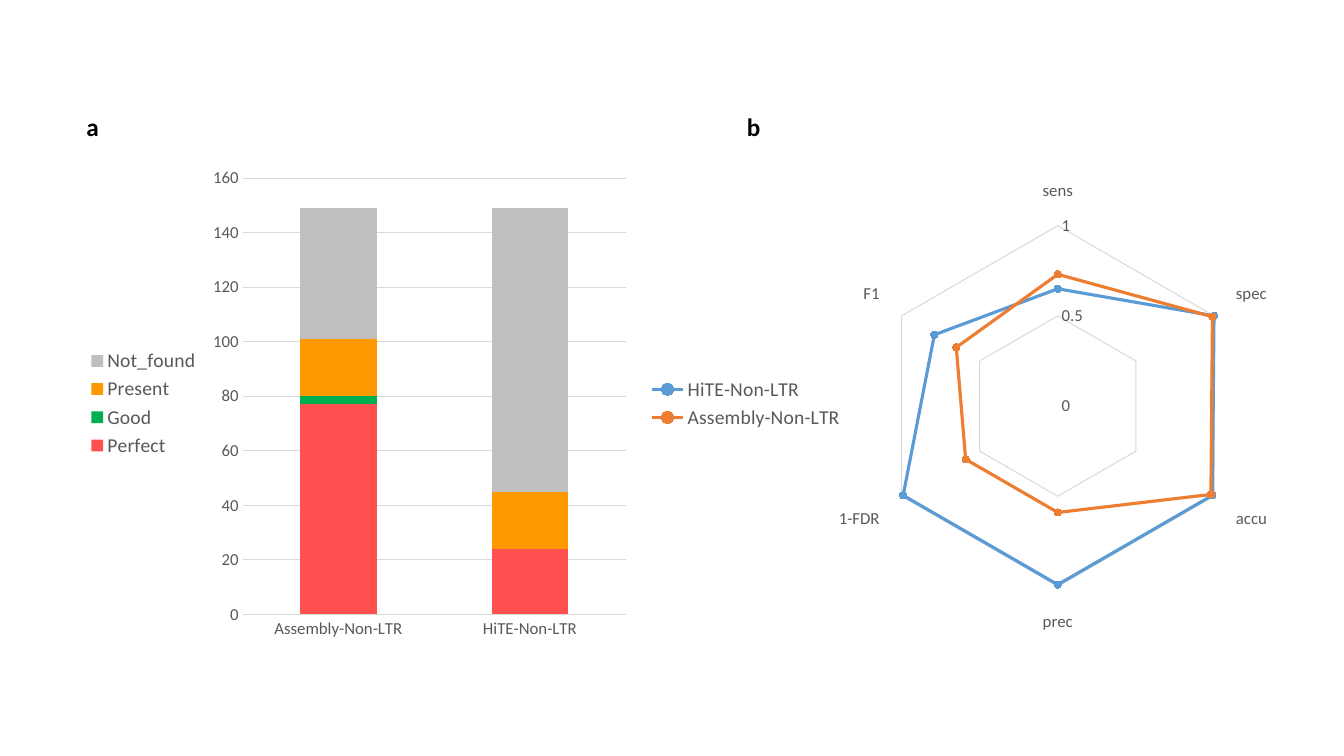
from dataclasses import dataclass
from typing import Optional

import pptx
import pptx.chart.data
import pptx.dml.color
import pptx.enum.chart
import pptx.enum.text
import pptx.util
from lxml import etree
from pptx.util import Cm, Pt

RGBColor = pptx.dml.color.RGBColor
ChartType = pptx.enum.chart.XL_CHART_TYPE

BLACK = RGBColor(0x00, 0x00, 0x00)
GRAY_TEXT = RGBColor(0x59, 0x59, 0x59)
GRID = RGBColor(0xD9, 0xD9, 0xD9)
BLUE = RGBColor(0x5B, 0x9B, 0xD5)
ORANGE = RGBColor(0xED, 0x7D, 0x31)
RED = RGBColor(0xFF, 0x50, 0x50)
GREEN = RGBColor(0x00, 0xB0, 0x50)
AMBER = RGBColor(0xFF, 0x99, 0x00)
SILVER = RGBColor(0xBF, 0xBF, 0xBF)

FONT = "Calibri"
BASE_FONT = {"name": FONT, "size": Pt(10)}
AXIS_FONT = {"name": FONT, "size": Pt(12)}
LEGEND_FONT = {"name": FONT, "size": Pt(14)}
LABEL_FONT = {"name": FONT, "size": Pt(18), "bold": True}


@dataclass
class Series:
    name: str
    values: tuple
    color: RGBColor


@dataclass
class Panel:
    label: str
    label_left: float
    kind: ChartType
    box: tuple
    categories: tuple
    series: tuple
    maximum: float
    step: float
    plot_area: Optional[tuple] = None


PANELS = (
    Panel("b", 18.57, ChartType.RADAR_MARKERS, (16.05, 3.23, 17.83, 13.87),
          ("sens", "spec", "accu", "prec", "1-FDR", "F1"),
          (Series("HiTE-Non-LTR", (0.65, 1, 0.99, 0.99, 0.99, 0.79), BLUE),
           Series("Assembly-Non-LTR", (0.73, 0.99, 0.98, 0.59, 0.59, 0.65), ORANGE)),
          1, 0.5, (0.34, 0.16, 0.51, 0.69)),
    Panel("a", 1.93, ChartType.COLUMN_STACKED, (1.93, 3.99, 14.12, 12.34),
          ("Assembly-Non-LTR", "HiTE-Non-LTR"),
          (Series("Perfect", (77, 24), RED),
           Series("Good", (3, 0), GREEN),
           Series("Present", (21, 21), AMBER),
           Series("Not_found", (48, 104), SILVER)),
          160, 20),
)


def set_attributes(target, values: dict) -> None:
    for name, value in values.items():
        setattr(target, name, value)


def set_font(font, values: dict, color: RGBColor) -> None:
    set_attributes(font, values)
    font.color.rgb = color


def set_line(line, color: RGBColor, width: float) -> None:
    line.color.rgb = color
    line.width = Pt(width)


def set_plot_area(chart, fractions: tuple) -> None:
    """Fix the inner plot area as fractions of the chart frame."""
    ns = "http://schemas.openxmlformats.org/drawingml/2006/chart"
    area = chart.plots[0]._element.getparent()
    for old in area.findall(f"{{{ns}}}layout"):
        area.remove(old)
    x, y, w, h = fractions
    settings = (("layoutTarget", "inner"), ("xMode", "edge"), ("yMode", "edge"),
                ("x", x), ("y", y), ("w", w), ("h", h))
    layout = etree.Element(f"{{{ns}}}layout")
    manual = etree.SubElement(layout, f"{{{ns}}}manualLayout")
    for tag, value in settings:
        etree.SubElement(manual, f"{{{ns}}}{tag}", val=str(value))
    area.insert(0, layout)


def style_axes(chart, panel: Panel) -> None:
    no_tick = pptx.enum.chart.XL_TICK_MARK.NONE
    for axis in (chart.category_axis, chart.value_axis):
        set_attributes(axis, {"major_tick_mark": no_tick, "minor_tick_mark": no_tick})
        set_font(axis.tick_labels.font, AXIS_FONT, GRAY_TEXT)
    chart.category_axis.has_major_gridlines = False
    set_line(chart.category_axis.format.line, GRID, 0.75)
    value_axis = chart.value_axis
    set_attributes(value_axis, {"minimum_scale": 0, "maximum_scale": panel.maximum,
                                "major_unit": panel.step, "has_major_gridlines": True})
    set_attributes(value_axis.tick_labels,
                   {"number_format": "General", "number_format_is_linked": False})
    set_line(value_axis.major_gridlines.format.line, GRID, 0.75)
    value_axis.format.line.fill.background()


def style_series(chart, panel: Panel) -> None:
    plot = chart.plots[0]
    plot.vary_by_categories = False
    is_radar = panel.kind == ChartType.RADAR_MARKERS
    if not is_radar:
        set_attributes(plot, {"gap_width": 150, "overlap": 100})
    for drawn, series in zip(plot.series, panel.series):
        if not is_radar:
            drawn.format.fill.solid()
            drawn.format.fill.fore_color.rgb = series.color
            continue
        drawn.smooth = False
        set_line(drawn.format.line, series.color, 2.25)
        marker = drawn.marker
        set_attributes(marker, {"style": pptx.enum.chart.XL_MARKER_STYLE.CIRCLE, "size": 5})
        marker.format.fill.solid()
        marker.format.fill.fore_color.rgb = series.color
        set_line(marker.format.line, series.color, 0.75)


def add_panel_chart(slide, panel: Panel) -> None:
    data = pptx.chart.data.CategoryChartData()
    data.categories = panel.categories
    for series in panel.series:
        data.add_series(series.name, series.values)
    chart = slide.shapes.add_chart(panel.kind, *map(Cm, panel.box), data).chart
    set_attributes(chart, {"has_title": False, "has_legend": True})
    set_font(chart.font, BASE_FONT, BLACK)
    set_attributes(chart.legend, {"position": pptx.enum.chart.XL_LEGEND_POSITION.LEFT,
                                  "include_in_layout": False})
    set_font(chart.legend.font, LEGEND_FONT, GRAY_TEXT)
    style_axes(chart, panel)
    style_series(chart, panel)
    if panel.plot_area:
        set_plot_area(chart, panel.plot_area)


def add_panel_label(slide, panel: Panel) -> None:
    sp = slide.shapes.add_textbox(Cm(panel.label_left), Cm(2.69), Cm(0.85), Cm(1.02))
    tf = sp.text_frame
    set_attributes(tf, {"word_wrap": False,
                        "auto_size": pptx.enum.text.MSO_AUTO_SIZE.SHAPE_TO_FIT_TEXT})
    r = tf.paragraphs[0].add_run()
    r.text = panel.label
    set_font(r.font, LABEL_FONT, BLACK)


def main() -> None:
    prs = pptx.Presentation()
    set_attributes(prs, {"slide_width": Cm(33.87), "slide_height": Cm(19.05)})
    slide = prs.slides.add_slide(prs.slide_layouts[6])
    for panel in PANELS:
        add_panel_chart(slide, panel)
    for panel in reversed(PANELS):
        add_panel_label(slide, panel)
    prs.save("out.pptx")


if __name__ == "__main__":
    main()
